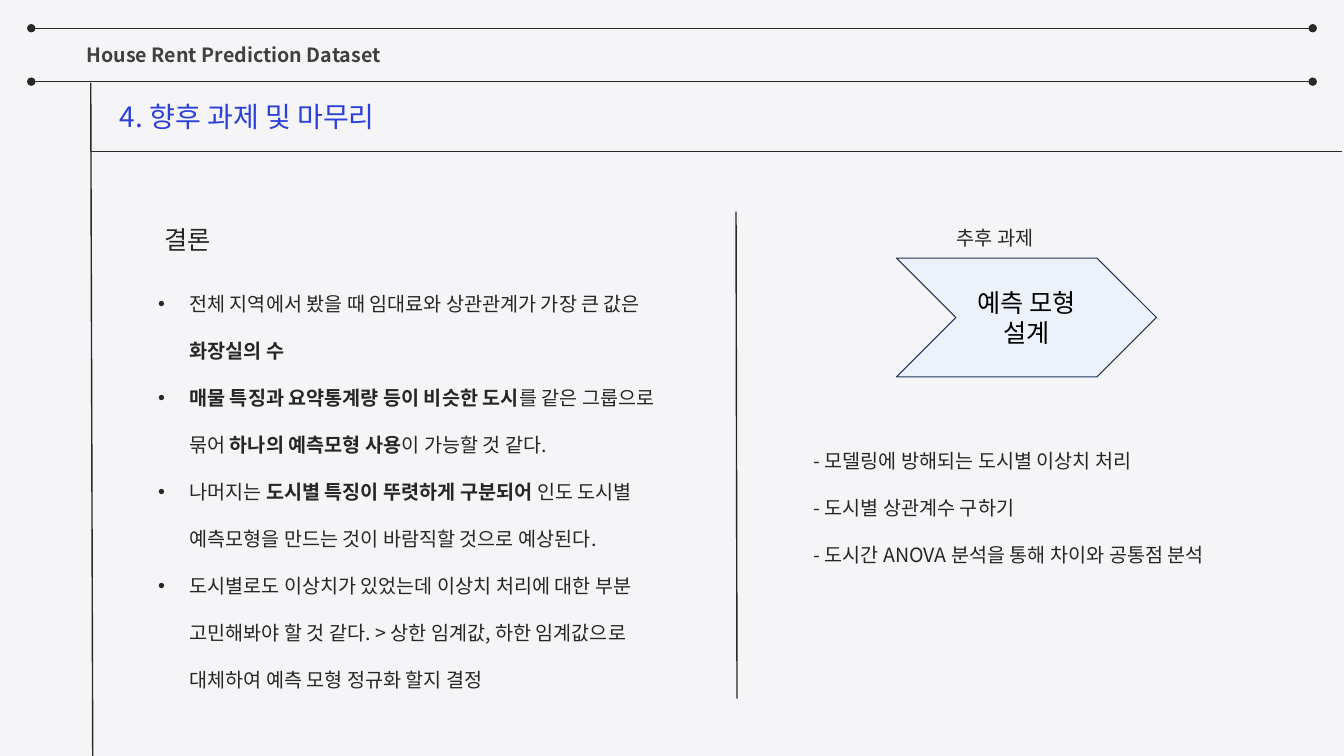
from lxml import etree
from pptx import Presentation
from pptx.dml.color import RGBColor
from pptx.enum import shapes, text
from pptx.oxml import ns
from pptx.util import Inches, Pt

FONT = "Noto Sans CJK KR"
PAPER = RGBColor(0xF5, 0xF5, 0xF7)
RULE = RGBColor(0x28, 0x28, 0x28)
HEAD = RGBColor(0x40, 0x40, 0x40)
BLUE = RGBColor(0x2B, 0x40, 0xDB)
INK = RGBColor(0x26, 0x26, 0x26)
BLACK = RGBColor(0, 0, 0)
PALE = RGBColor(0xE0, 0xEF, 0xFE)
NAVY = RGBColor(0x1E, 0x32, 0x56)

POINTS = [
    "전체 지역에서 봤을 때 임대료와 상관관계가 가장 큰 값은 *화장실의 수",
    "*매물 특징과 요약통계량 등이 비슷한 도시*를 같은 그룹으로 묶어 "
    "*하나의 예측모형 사용*이 가능할 것 같다.",
    "나머지는 *도시별 특징이 뚜렷하게 구분되어 *인도 도시별 예측모형을 "
    "만드는 것이 바람직할 것으로 예상된다.",
    "도시별로도 이상치가 있었는데 이상치 처리에 대한 부분 고민해봐야 할 것 같다. "
    "> 상한 임계값, 하한 임계값으로 대체하여 예측 모형 정규화 할지 결정",
]
TASKS = [
    "- 모델링에 방해되는 도시별 이상치 처리",
    "- 도시별 상관계수 구하기",
    "- 도시간 ANOVA 분석을 통해 차이와 공통점 분석",
]


def add(parent, tag, **attrs):
    return etree.SubElement(parent, ns.qn(tag), **attrs)


def place(shape, box):
    shape.left, shape.top, shape.width, shape.height = map(Inches, box)


def write(shape, lines, size, color, bold=False, space=None, bullet=False,
          align=text.PP_ALIGN.LEFT, anchor=text.MSO_ANCHOR.TOP):
    frame = shape.text_frame
    frame.word_wrap = True
    frame.auto_size = text.MSO_AUTO_SIZE.NONE
    frame.vertical_anchor = anchor
    for i, line in enumerate(lines):
        para = frame.add_paragraph() if i else frame.paragraphs[0]
        for j, part in enumerate(line.split("*")):
            if part:
                run = para.add_run()
                run.text = part
                if j % 2:
                    run.font.bold = True
        para.alignment = align
        if space:
            para.line_spacing = space
        if bullet:
            props = para._p.get_or_add_pPr()
            props.set("marL", str(Inches(0.31)))
            props.set("indent", str(-Inches(0.31)))
            add(props, "a:buFont", typeface="Arial")
            add(props, "a:buChar", char="•")
        font = para.font
        font.size = Pt(size)
        font.bold = bold
        font.color.rgb = color
        font.name = FONT
        add(font._element, "a:ea", typeface=FONT)


def label(slide, box, lines, size, color, **style):
    shape = slide.shapes.add_textbox(*map(Inches, box))
    write(shape, lines, size, color, **style)


def rule(slide, x1, y1, x2, y2, width=1, dots=False):
    line = slide.shapes.add_connector(
        shapes.MSO_CONNECTOR.STRAIGHT, *map(Inches, (x1, y1, x2, y2)))
    line.line.color.rgb = RULE
    line.line.width = Pt(width)
    if dots:
        for end in ("a:headEnd", "a:tailEnd"):
            add(line.line._get_or_add_ln(), end, type="oval")
    add(line._element.spPr, "a:effectLst")


def header(slide, x, y, w, h):
    for top in (y, y + h):
        rule(slide, x, top, x + w, top, 0.75, True)
    label(slide, (x + 0.45, y + 0.1, 3.31, 0.34),
          ["House Rent Prediction Dataset"], 14, HEAD, bold=True)


def heading(slide, x, y, w, h):
    rule(slide, x, y, x + 0.02, 7.52)
    rule(slide, x, y + h, x + w, y + h)
    title = slide.shapes.title
    place(title, (x + 0.19, y + 0.12, 5.44, 0.44))
    write(title, ["4. 향후 과제 및 마무리"], 20, BLUE)


def result(slide, x, y, w, h):
    label(slide, (x + 0.06, y, 2.28, 0.61), ["결론"], 18, INK, space=2)
    label(slide, (x, y + 0.73, w, h - 0.73), POINTS, 14, INK,
          space=2, bullet=True)


def future(slide, x, y, w, h):
    rule(slide, x - 0.67, y + 0.14, x - 0.66, y + 4.97)
    arrow = slide.shapes.add_shape(
        shapes.MSO_SHAPE.CHEVRON,
        *map(Inches, (x + 0.92, y + 0.6, 2.58, 1.18)))
    arrow.shadow.inherit = False
    arrow.fill.solid()
    arrow.fill.fore_color.rgb = PALE
    tint = arrow._element.spPr.find(ns.qn("a:solidFill"))[0]
    add(tint, "a:alpha", val="45000")
    arrow.line.color.rgb = NAVY
    arrow.line.width = Pt(0.75)
    write(arrow, ["예측 모형", "설계"], 18, BLACK,
          align=text.PP_ALIGN.CENTER, anchor=text.MSO_ANCHOR.MIDDLE)
    label(slide, (x + 1.42, y, 1.19, 0.97), ["추후 과제"], 14, INK, space=2)
    label(slide, (x, y + 2.21, w, h - 2.21), TASKS, 14, INK, space=2)


def main():
    deck = Presentation()
    deck.slide_width, deck.slide_height = Inches(13.33), Inches(7.5)
    slide = deck.slides.add_slide(deck.slide_layouts[5])
    slide.background.fill.solid()
    slide.background.fill.fore_color.rgb = PAPER
    header(slide, 0.31, 0.28, 12.71, 0.53)
    heading(slide, 0.9, 0.82, 12.41, 0.68)
    result(slide, 1.47, 1.88, 5.45, 5.47)
    future(slide, 7.97, 1.96, 4.83, 4.12)
    deck.save("out.pptx")


if __name__ == "__main__":
    main()
